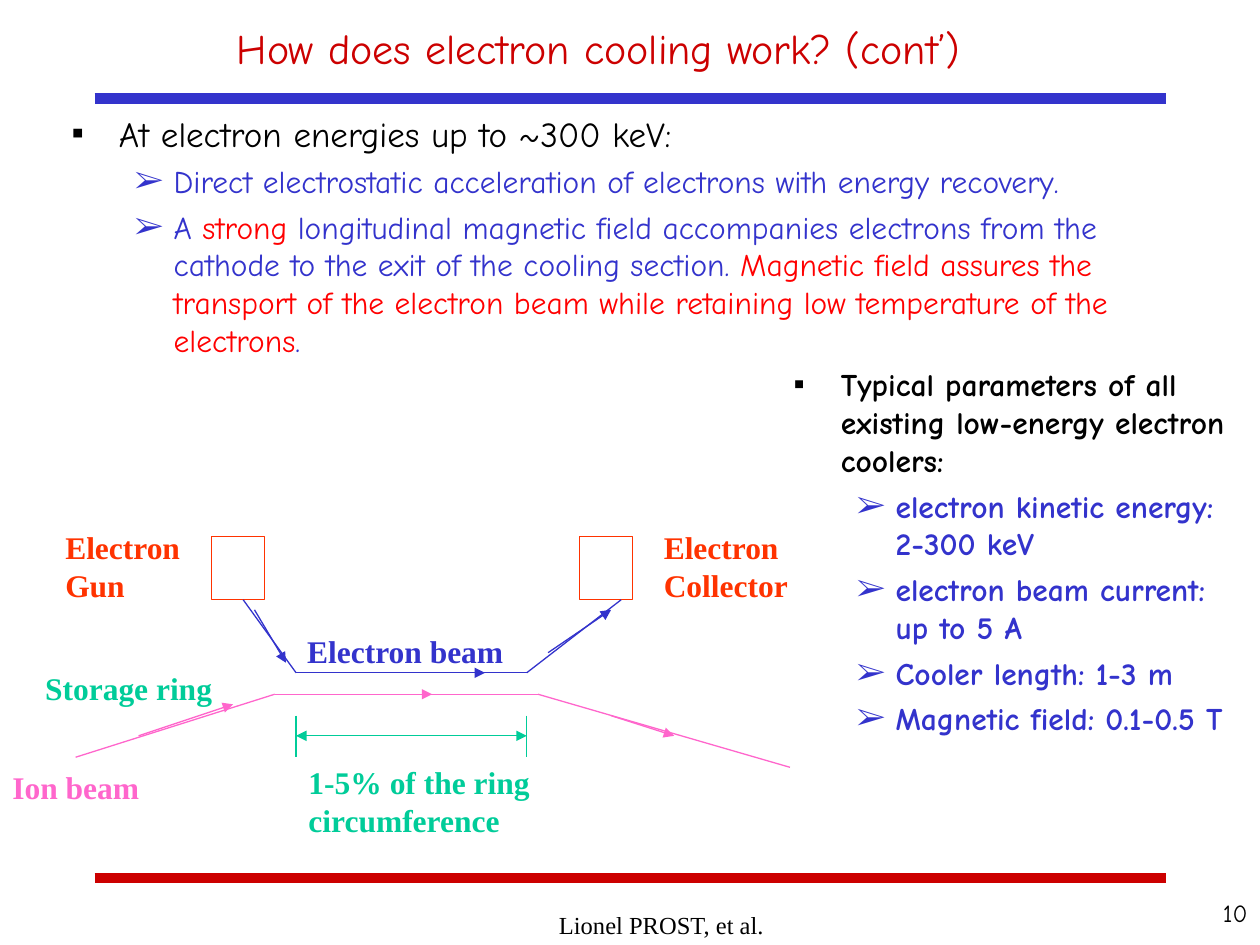
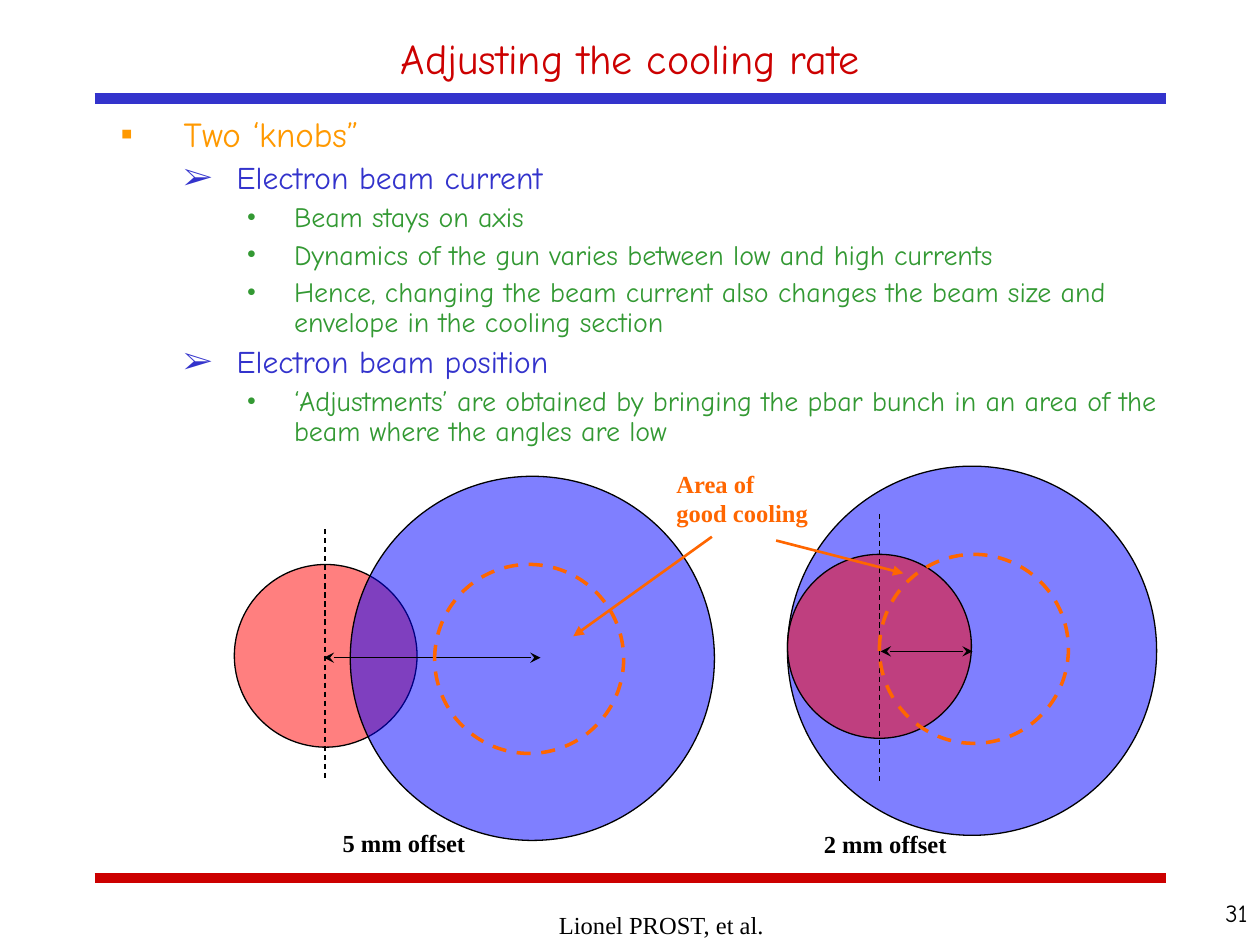
from dataclasses import dataclass, replace
from itertools import pairwise

from lxml import etree
from pptx import Presentation
from pptx.dml.color import RGBColor
from pptx.enum.dml import MSO_LINE
from pptx.enum.shapes import MSO_CONNECTOR, MSO_SHAPE
from pptx.enum.text import MSO_ANCHOR, PP_ALIGN
from pptx.oxml.ns import qn
from pptx.util import Inches, Pt

LEFT, CENTER, RIGHT = PP_ALIGN.LEFT, PP_ALIGN.CENTER, PP_ALIGN.RIGHT
TOP, MIDDLE = MSO_ANCHOR.TOP, MSO_ANCHOR.MIDDLE
RECTANGLE, OVAL = MSO_SHAPE.RECTANGLE, MSO_SHAPE.OVAL
STRAIGHT, DASH = MSO_CONNECTOR.STRAIGHT, MSO_LINE.DASH
WIDTH, HEIGHT = Inches(10), Inches(7.5)
COLUMNS, ROWS = 100, 75


@dataclass(frozen=True)
class Theme:
    """Colours, fonts and type sizes of the deck."""
    black: str = "000000"
    title: str = "CC0000"
    blue: str = "3333CC"
    red: str = "FF0000"
    electrode: str = "FF3300"
    ion: str = "FF66CC"
    ring: str = "00CC99"
    knob: str = "FF9900"
    detail: str = "339933"
    beam: str = "0000FF"
    cooling: str = "FF6600"
    hand: str = "Comic Neue"
    serif: str = "Times New Roman"
    title_size: int = 24
    lead_size: int = 20
    point_size: int = 18
    detail_size: int = 16
    small_size: int = 14
    hairline: float = 0.75
    arrow: float = 1.5
    zone: float = 2
    band: float = 6


THEME = Theme()


@dataclass(frozen=True)
class Level:
    """Look of one outline level, with its indents in columns."""
    mark: str
    colour: str
    size: int
    margin: float
    hang: float


LEAD = Level("▪", THEME.black, THEME.lead_size, 3.75, 3.75)
POINT = Level("➢", THEME.blue, THEME.point_size, 8.1, 3.1)
PARAMETER_LEAD = replace(LEAD, size=THEME.point_size)
KNOB = Level("▪", THEME.knob, THEME.lead_size, 5, 5)
KNOB_POINT = replace(POINT, margin=9.2, hang=4.2)
DETAIL = Level("•", THEME.detail, THEME.detail_size, 13.75, 3.75)


def across(columns):
    """Turn columns into a length."""
    return round(WIDTH * columns / COLUMNS)


def down(rows):
    """Turn rows into a length."""
    return round(HEIGHT * rows / ROWS)


def place(box):
    """Turn a grid box into left, top, width and height."""
    left, top, width, height = box
    return across(left), down(top), across(width), down(height)


def write(paragraph, text, *, font, size, colour, bold=False):
    """Add a run of formatted text to a paragraph."""
    run = paragraph.add_run()
    run.text = text
    run.font.name = font
    run.font.size = Pt(size)
    run.font.bold = bold
    run.font.color.rgb = RGBColor.from_string(colour)


class Painter:
    """Draws styled elements on the current slide."""

    def __init__(self, deck, theme):
        """Keep the deck and its theme."""
        self.deck, self.theme, self.slide = deck, theme, None

    def start(self, title, title_box):
        """Open a slide with its bands and title."""
        t = self.theme
        self.slide = self.deck.slides.add_slide(self.deck.slide_layouts[6])
        for row, colour in ((69.7, t.title), (7.8, t.blue)):
            self.line((7.5, row), (92.5, row), colour, t.band)
        self.text(title_box, [title], font=t.hand, size=t.title_size,
                  colour=t.title, align=CENTER, anchor=MIDDLE)

    def finish(self, number):
        """Add the author and the slide number."""
        t = self.theme
        look = dict(size=t.small_size, colour=t.black)
        self.text((27.5, 71.7, 50, 3.3), ["Lionel PROST, et al."],
                  font=t.serif, align=CENTER, **look)
        self.text((90.8, 70.8, 9.2, 4.2), [str(number)],
                  font=t.hand, align=RIGHT, **look)

    def frame(self, box, anchor=TOP):
        """Add an empty text box and return its text frame."""
        frame = self.slide.shapes.add_textbox(*place(box)).text_frame
        frame.word_wrap, frame.vertical_anchor = True, anchor
        return frame

    def text(self, box, lines, *, align=LEFT, before=0, anchor=TOP, **look):
        """Write plain lines, one paragraph each."""
        frame = self.frame(box, anchor)
        for index, line in enumerate(lines):
            paragraph = frame.add_paragraph() if index else frame.paragraphs[0]
            paragraph.alignment, paragraph.space_before = align, Pt(before)
            write(paragraph, line, **look)

    def label(self, box, lines, colour):
        """Name a part of the cooler diagram."""
        self.text(box, lines, font=self.theme.serif, size=self.theme.point_size,
                  colour=colour, bold=True)

    def caption(self, box, line, colour):
        """Write a small bold caption."""
        self.text(box, [line], font=self.theme.serif, size=self.theme.small_size,
                  colour=colour, bold=True, before=8.8)

    def outline(self, box, entries, spacing=1.0, bold=False):
        """Write bulleted entries of a level and its (text, colour) parts."""
        frame = self.frame(box)
        for index, (level, *parts) in enumerate(entries):
            paragraph = frame.add_paragraph() if index else frame.paragraphs[0]
            paragraph.line_spacing = spacing
            paragraph.space_before = Pt(level.size / 4)
            self.bullet(paragraph, level)
            for part in parts:
                words, colour = (part, level.colour) if isinstance(part, str) else part
                write(paragraph, words, font=self.theme.hand, size=level.size,
                      colour=colour, bold=bold)

    def bullet(self, paragraph, level):
        """Give a paragraph its hanging indent and mark."""
        properties = paragraph._p.get_or_add_pPr()
        properties.set("marL", str(across(level.margin)))
        properties.set("indent", str(-across(level.hang)))
        tint = etree.SubElement(properties, qn("a:buClr"))
        etree.SubElement(tint, qn("a:srgbClr"), val=level.colour)
        etree.SubElement(properties, qn("a:buFont"), typeface=self.theme.serif)
        etree.SubElement(properties, qn("a:buChar"), char=level.mark)

    def stroke(self, line, colour, width, dashed):
        """Set the colour, width and dash of a line."""
        line.color.rgb = RGBColor.from_string(colour)
        line.width = Pt(width)
        if dashed:
            line.dash_style = DASH

    def line(self, start, end, colour, width=THEME.hairline, *, dashed=False,
             head=None, tail=None):
        """Draw a straight line with optional arrowheads."""
        connector = self.slide.shapes.add_connector(
            STRAIGHT, across(start[0]), down(start[1]), across(end[0]), down(end[1]))
        self.stroke(connector.line, colour, width, dashed)
        for tag, arrow in (("a:headEnd", head), ("a:tailEnd", tail)):
            if arrow:
                etree.SubElement(connector.line._get_or_add_ln(), qn(tag), type=arrow)
        etree.SubElement(connector._element.spPr, qn("a:effectLst"))

    def chain(self, points, colour):
        """Join points with straight lines."""
        for start, end in pairwise(points):
            self.line(start, end, colour)

    def shape(self, kind, box, colour, width=THEME.hairline, *, fill=None, dashed=False):
        """Draw an outlined shape, with a half-transparent fill if given."""
        shape = self.slide.shapes.add_shape(kind, *place(box))
        shape.shadow.inherit = False
        if fill:
            shape.fill.solid()
            shape.fill.fore_color.rgb = RGBColor.from_string(fill)
            tint = shape._element.spPr.find(".//" + qn("a:srgbClr"))
            etree.SubElement(tint, qn("a:alpha"), val="50000")
        else:
            shape.fill.background()
        self.stroke(shape.line, colour, width, dashed)


def draw_cooler(painter):
    """Draw the electron and ion beams with their labels."""
    t = THEME
    for left in (16.8, 46):
        painter.shape(RECTANGLE, (left, 42.6, 4.2, 5), t.electrode)
    painter.chain([(19.3, 47.6), (23.5, 53.4), (41.8, 53.4), (49.3, 47.6)], t.blue)
    painter.chain([(6, 60.1), (21.8, 55.1), (42.7, 55.1), (62.7, 60.9)], t.ion)
    for start, end, colour in (
        ((28.5, 53.4), (38.5, 53.4), t.blue),
        ((20.2, 48.4), (22.7, 52.6), t.blue),
        ((43.5, 51.8), (48.5, 48.4), t.blue),
        ((11, 58.4), (18.5, 55.9), t.ion),
        ((26, 55.1), (34.3, 55.1), t.ion),
        ((48.5, 56.8), (53.5, 58.4), t.ion),
    ):
        painter.line(start, end, colour, tail="triangle")
    for column in (23.5, 41.8):
        painter.line((column, 56.8), (column, 60.1), t.ring)
    painter.line((23.5, 58.4), (41.8, 58.4), t.ring, head="triangle", tail="triangle")
    for box, lines, colour in (
        ((2.6, 52.6, 17, 4), ["Storage ring"], t.ring),
        ((4.2, 41.4, 12, 7), ["Electron", "Gun"], t.electrode),
        ((51.7, 41.4, 14, 7), ["Electron", "Collector"], t.electrode),
        ((23.5, 60.1, 22, 7), ["1-5% of the ring", "circumference"], t.ring),
        ((23.4, 49.7, 19, 4), ["Electron beam"], t.blue),
        ((0, 60.5, 14, 4), ["Ion beam"], t.ion),
    ):
        painter.label(box, lines, colour)


def draw_offset(painter, disks, axis, offset, zone, caption_at, caption):
    """Draw two overlapping beams and the offset between them."""
    t = THEME
    for left, top, size, fill in disks:
        painter.shape(OVAL, (left, top, size, size), t.black, fill=fill)
    column, top, bottom = axis
    painter.line((column, top), (column, bottom), t.black, dashed=True)
    start, end, row = offset
    painter.line((start, row), (end, row), t.black, head="stealth", tail="stealth")
    painter.shape(OVAL, (*zone, 15, 15), t.cooling, t.zone, dashed=True)
    painter.caption((*caption_at, 13.1, 3.4), caption, t.black)


def build_principle(painter):
    """Build the slide on how electron cooling works."""
    t = THEME
    painter.start("How does electron cooling work? (cont’)", (7.5, 0, 80, 7.5))
    draw_cooler(painter)
    painter.outline((4.7, 8.4, 91.3, 31), [
        (LEAD, "At electron energies up to ~300 keV:"),
        (POINT, "Direct electrostatic acceleration of electrons with energy recovery."),
        (POINT, "A ", ("strong", t.red),
         " longitudinal magnetic field accompanies electrons from the cathode "
         "to the exit of the cooling section. ",
         ("Magnetic field assures the transport of the electron beam while "
          "retaining low temperature of the electrons", t.red), "."),
    ])
    painter.outline((62, 28.5, 38, 32.2), [
        (PARAMETER_LEAD, "Typical parameters of all existing low-energy electron coolers:"),
        (POINT, "electron kinetic energy: 2-300 keV"),
        (POINT, "electron beam current: up to 5 A"),
        (POINT, "Cooler length: 1-3 m"),
        (POINT, "Magnetic field: 0.1-0.5 T"),
    ], bold=True)
    painter.finish(10)


def build_cooling_rate(painter):
    """Build the slide on adjusting the cooling rate."""
    t = THEME
    painter.start("Adjusting the cooling rate", (7.5, 1.7, 85, 5.8))
    painter.outline((8.6, 8.8, 85.9, 29.4), [
        (KNOB, "Two ‘knobs”"),
        (KNOB_POINT, "Electron beam current"),
        (DETAIL, "Beam stays on axis"),
        (DETAIL, "Dynamics of the gun varies between low and high currents"),
        (DETAIL, "Hence, changing the beam current also changes the beam size "
                 "and envelope in the cooling section"),
        (KNOB_POINT, "Electron beam position"),
        (DETAIL, "‘Adjustments’ are obtained by bringing the pbar bunch in an "
                 "area of the beam where the angles are low"),
    ], spacing=0.9)
    draw_offset(painter, [(18.6, 44.8, 14.5, t.red), (27.8, 37.8, 28.9, t.beam)],
                axis=(25.8, 42, 61.9), offset=(25.7, 42.9, 52.2),
                zone=(34.5, 44.8), caption_at=(26.2, 65.2), caption="5 mm offset")
    draw_offset(painter, [(62.5, 37, 29.3, t.beam), (62.5, 44, 14.6, t.red)],
                axis=(69.8, 40.8, 62), offset=(69.9, 77.2, 51.7),
                zone=(69.8, 44), caption_at=(64.4, 65.3), caption="2 mm offset")
    for start, end in (((56.5, 42.6), (45.5, 50.5)), ((61.6, 42.9), (71.7, 45.5))):
        painter.line(start, end, t.cooling, t.arrow, tail="triangle")
    painter.caption((52.7, 36.7, 12.6, 5.7), "Area of good cooling", t.cooling)
    painter.finish(31)


def main():
    """Build and save the deck."""
    deck = Presentation()
    deck.slide_width, deck.slide_height = WIDTH, HEIGHT
    painter = Painter(deck, THEME)
    build_principle(painter)
    build_cooling_rate(painter)
    deck.save("out.pptx")


if __name__ == "__main__":
    main()
